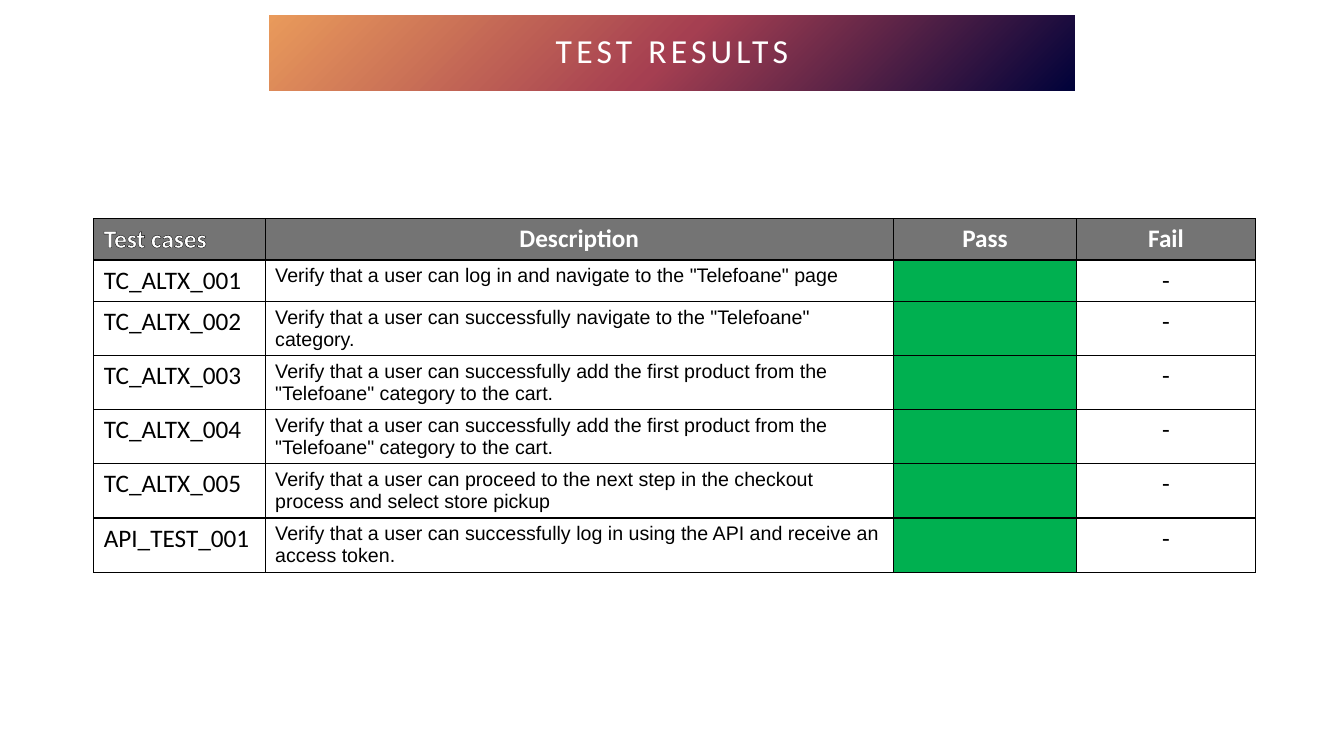
from lxml.etree import SubElement
from pptx import Presentation
from pptx.dml.color import RGBColor
from pptx.enum.text import MSO_ANCHOR, MSO_AUTO_SIZE, PP_ALIGN
from pptx.oxml import parse_xml
from pptx.oxml.ns import nsdecls, qn
from pptx.util import Inches, Pt

COLORS = {
    "navy": "00023A", "crimson": "A53F51", "orange": "E99A5B",
    "header": "747474", "pass": "00B050", "white": "FFFFFF", "black": "000000",
}
COLUMN_WIDTHS = [1.7, 6.23, 1.82, 1.77]
ROW_HEIGHT = 0.41
HEADINGS = ["Test cases", "Description", "Pass", "Fail"]
ADD_TO_CART = ('Verify that a user can successfully add the first product '
               'from the "Telefoane" category to the cart.')
TEST_CASES = [
    ("TC_ALTX_001", 'Verify that a user can log in and navigate to the "Telefoane" page'),
    ("TC_ALTX_002", 'Verify that a user can successfully navigate to the "Telefoane" category.'),
    ("TC_ALTX_003", ADD_TO_CART),
    ("TC_ALTX_004", ADD_TO_CART),
    ("TC_ALTX_005", "Verify that a user can proceed to the next step in the checkout "
                    "process and select store pickup"),
    ("API_TEST_001", "Verify that a user can successfully log in using the API "
                     "and receive an access token."),
]


def style_text(paragraph, size, color, align=PP_ALIGN.LEFT, font="Calibri", bold=False):
    paragraph.alignment = align
    paragraph.font.name = font
    paragraph.font.size = Pt(size)
    paragraph.font.bold = bold
    paragraph.font.color.rgb = RGBColor.from_string(COLORS[color])


def line_xml(tag, points):
    return parse_xml(
        f'<a:{tag} {nsdecls("a")} w="{Pt(points)}"><a:solidFill>'
        f'<a:srgbClr val="{COLORS["black"]}"/></a:solidFill></a:{tag}>')


def add_title_banner(slide, left, top, width, height):
    banner = slide.shapes.title
    banner.left, banner.top = Inches(left), Inches(top)
    banner.width, banner.height = Inches(width), Inches(height)

    # Radial gradient spreading from the bottom right corner
    gradient = parse_xml(
        f'<a:gradFill {nsdecls("a")} rotWithShape="1"><a:gsLst/><a:path path="circle">'
        '<a:fillToRect l="100000" t="100000"/></a:path>'
        '<a:tileRect r="-100000" b="-100000"/></a:gradFill>')
    for position, name in enumerate(["navy", "crimson", "orange"]):
        stop = SubElement(gradient[0], qn("a:gs"), pos=str(position * 50000))
        SubElement(stop, qn("a:srgbClr"), val=COLORS[name])
    banner._element.spPr.append(gradient)

    # Letter-spaced heading
    frame = banner.text_frame
    frame.text = "TEST RESULTS"
    frame.word_wrap = True
    frame.auto_size = MSO_AUTO_SIZE.NONE
    frame.vertical_anchor = MSO_ANCHOR.MIDDLE
    heading = frame.paragraphs[0]
    heading.line_spacing = 0.9
    style_text(heading, 24, "white", PP_ALIGN.CENTER)
    heading.runs[0]._r.get_or_add_rPr().set("spc", "300")


def fill_cell(cell, text, fill=None, **text_style):
    cell.text = text
    style_text(cell.text_frame.paragraphs[0], **text_style)
    if fill:
        cell.fill.solid()
        cell.fill.fore_color.rgb = RGBColor.from_string(COLORS[fill])
    else:
        cell.fill.background()
    properties = cell._tc.get_or_add_tcPr()
    for index, side in enumerate(["lnL", "lnR", "lnT", "lnB"]):
        properties.insert(index, line_xml(side, 1))


def add_results_table(slide, left, top, width):
    rows = len(TEST_CASES) + 1
    results = slide.shapes.add_table(
        rows, len(HEADINGS), Inches(left), Inches(top),
        Inches(width), Inches(rows * ROW_HEIGHT)).table
    results.first_row = results.horz_banding = False
    for column, share in zip(results.columns, COLUMN_WIDTHS):
        column.width = Inches(width * share / sum(COLUMN_WIDTHS))
    for row in results.rows:
        row.height = Inches(ROW_HEIGHT)

    # Header row, its first label outlined
    for column, label in enumerate(HEADINGS):
        fill_cell(results.cell(0, column), label, "header", size=18, color="white",
                  align=PP_ALIGN.CENTER if column else PP_ALIGN.LEFT, bold=True)
    first_label = results.cell(0, 0).text_frame.paragraphs[0].runs[0]
    first_label._r.get_or_add_rPr().insert(0, line_xml("ln", 0.75))

    # One row for each test case, all passed
    for row, (case_id, description) in enumerate(TEST_CASES, start=1):
        fill_cell(results.cell(row, 0), case_id, size=18, color="black")
        fill_cell(results.cell(row, 1), description, size=14, color="black", font="Arial")
        fill_cell(results.cell(row, 2), "", "pass", size=18, color="black")
        fill_cell(results.cell(row, 3), "-", size=18, color="black", align=PP_ALIGN.CENTER)


def main():
    deck = Presentation()
    deck.slide_width, deck.slide_height = Inches(13.33), Inches(7.5)
    slide = deck.slides.add_slide(deck.slide_layouts[5])
    add_title_banner(slide, 2.67, 0.15, 7.99, 0.75)
    add_results_table(slide, 0.93, 2.17, 11.52)
    deck.save("out.pptx")


if __name__ == "__main__":
    main()
